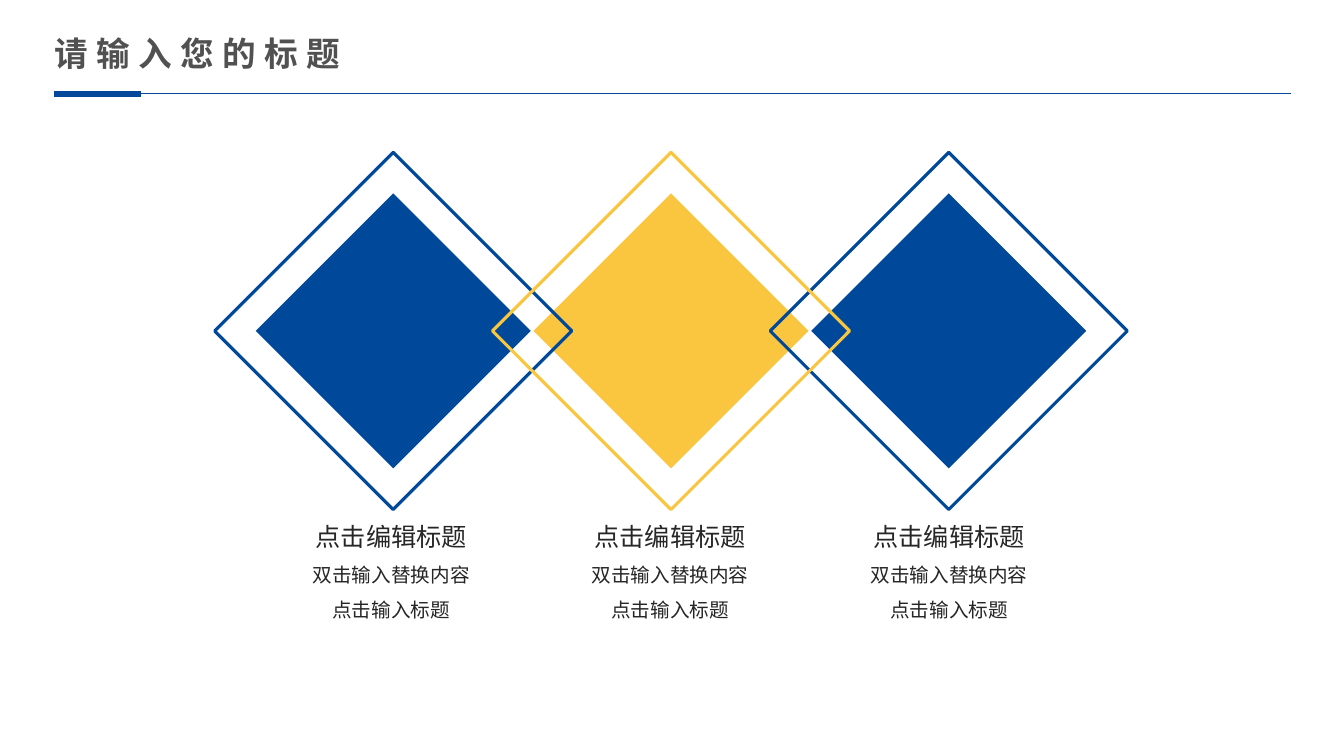
from lxml.etree import SubElement
from pptx import Presentation
from pptx.dml.color import RGBColor
from pptx.enum.shapes import MSO_CONNECTOR as Connector, MSO_SHAPE as Preset
from pptx.enum.text import MSO_ANCHOR as Anchor, MSO_AUTO_SIZE as AutoSize, PP_ALIGN as Align
from pptx.oxml.ns import qn
from pptx.util import Cm, Pt

COLORS = {
    "blue": "00489A",
    "yellow": "FBC63F",
    "rule": "05489B",
    "title": "515151",
    "text": "262626",
}


class SlideBuilder:
    font_name = "Noto Sans CJK SC"

    def __init__(self, slide):
        self.shapes = slide.shapes

    def color(self, name):
        return RGBColor.from_string(COLORS[name])

    def diamond(self, center_x, center_y, size, color, outlined=False):
        diamond = self.shapes.add_shape(
            Preset.DIAMOND, Cm(center_x - size / 2), Cm(center_y - size / 2), Cm(size), Cm(size)
        )
        diamond.shadow.inherit = False
        if outlined:
            diamond.fill.background()
            diamond.line.color.rgb = self.color(color)
            diamond.line.width = Pt(2.25)
        else:
            diamond.fill.solid()
            diamond.fill.fore_color.rgb = self.color(color)
            diamond.line.fill.background()

    def rule(self, start, end, y, width):
        rule = self.shapes.add_connector(Connector.STRAIGHT, Cm(start), Cm(y), Cm(end), Cm(y))
        rule.line.color.rgb = self.color("rule")
        rule.line.width = Pt(width)
        SubElement(rule._element.spPr, qn("a:effectLst"))

    def format_run(self, run, size, color, bold=False, spacing=0):
        run.font.size = Pt(size)
        run.font.name = self.font_name
        run.font.bold = bold
        run.font.color.rgb = self.color(color)
        properties = run.font._element
        SubElement(properties, qn("a:ea")).set("typeface", self.font_name)
        if spacing:
            properties.set("spc", str(spacing * 100))

    def title(self, left, top, width, height, text):
        frame = self.shapes.add_textbox(Cm(left), Cm(top), Cm(width), Cm(height)).text_frame
        frame.word_wrap = True
        frame.auto_size = AutoSize.SHAPE_TO_FIT_TEXT
        frame.text = text
        self.format_run(frame.paragraphs[0].runs[0], 24, "title", bold=True, spacing=6)

    def caption(self, center_x, top, width, height, text, size, line_spacing=1.0):
        frame = self.shapes.add_textbox(
            Cm(center_x - width / 2), Cm(top), Cm(width), Cm(height)
        ).text_frame
        frame.word_wrap = False
        frame.vertical_anchor = Anchor.MIDDLE
        frame.margin_left = frame.margin_right = frame.margin_top = frame.margin_bottom = 0
        frame.text = text
        for paragraph in frame.paragraphs:
            paragraph.alignment = Align.CENTER
            paragraph.line_spacing = line_spacing
            self.format_run(paragraph.runs[0], size, "text")


def main():
    presentation = Presentation()
    presentation.slide_width = Cm(33.87)
    presentation.slide_height = Cm(19.05)
    builder = SlideBuilder(presentation.slides.add_slide(presentation.slide_layouts[6]))

    diamonds = [(0, "blue"), (2, "blue"), (1, "yellow")]
    for size, outlined in [(6.93, False), (9, True)]:
        for column, color in diamonds:
            builder.diamond(9.91 + 7 * column, 8.34, size, color, outlined)

    for column in range(3):
        center_x = 9.86 + 7.03 * column
        builder.caption(center_x, 12.93, 8.64, 1.17, "点击编辑标题", 18)
        builder.caption(center_x, 13.79, 8.64, 1.96, "双击输入替换内容\n点击输入标题", 14, 1.5)

    builder.rule(1.35, 3.56, 2.36, 4.5)
    builder.rule(3.56, 32.54, 2.36, 0.5)
    builder.title(1.12, 0.71, 8.89, 1.27, "请输入您的标题")

    presentation.save("out.pptx")


if __name__ == "__main__":
    main()
